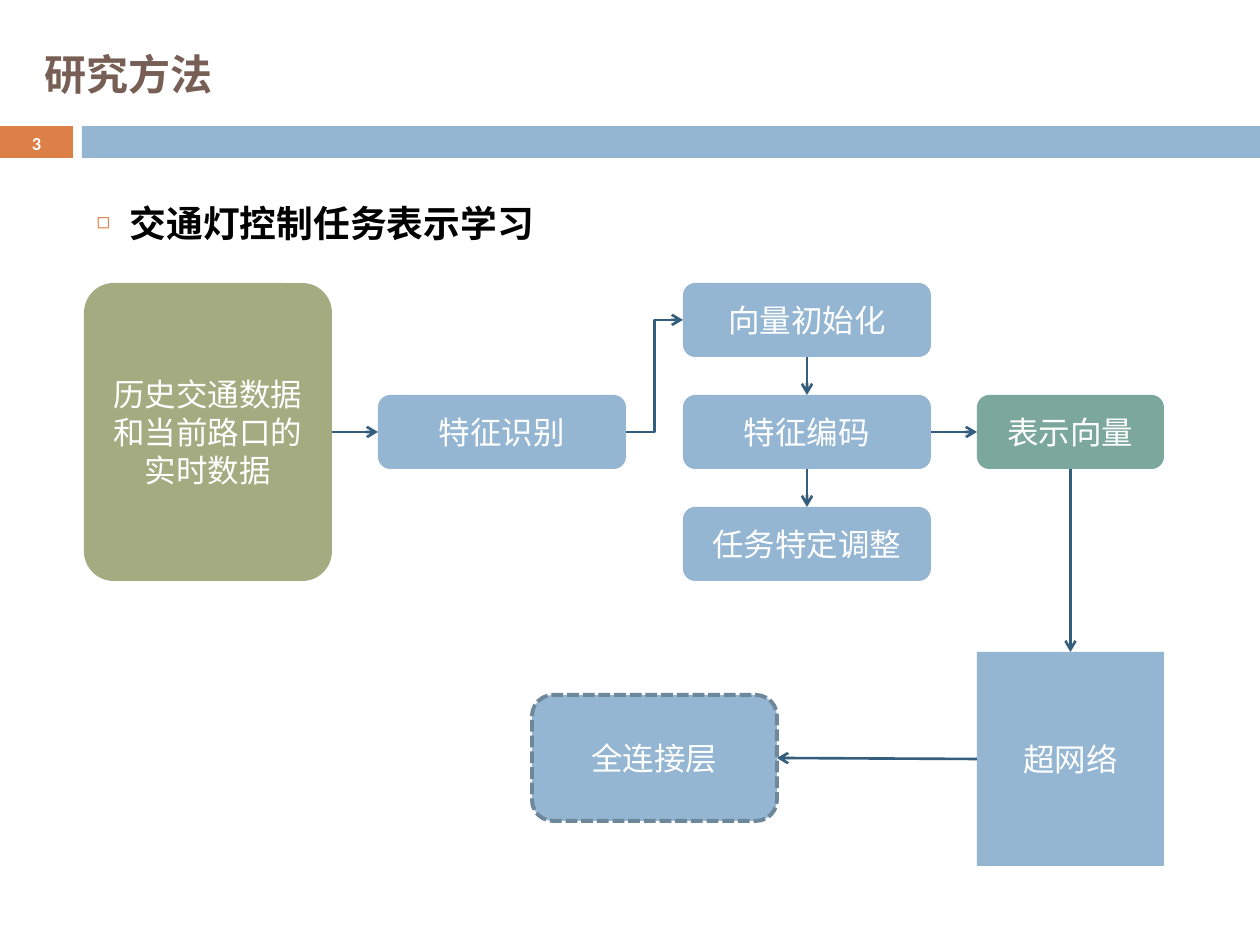
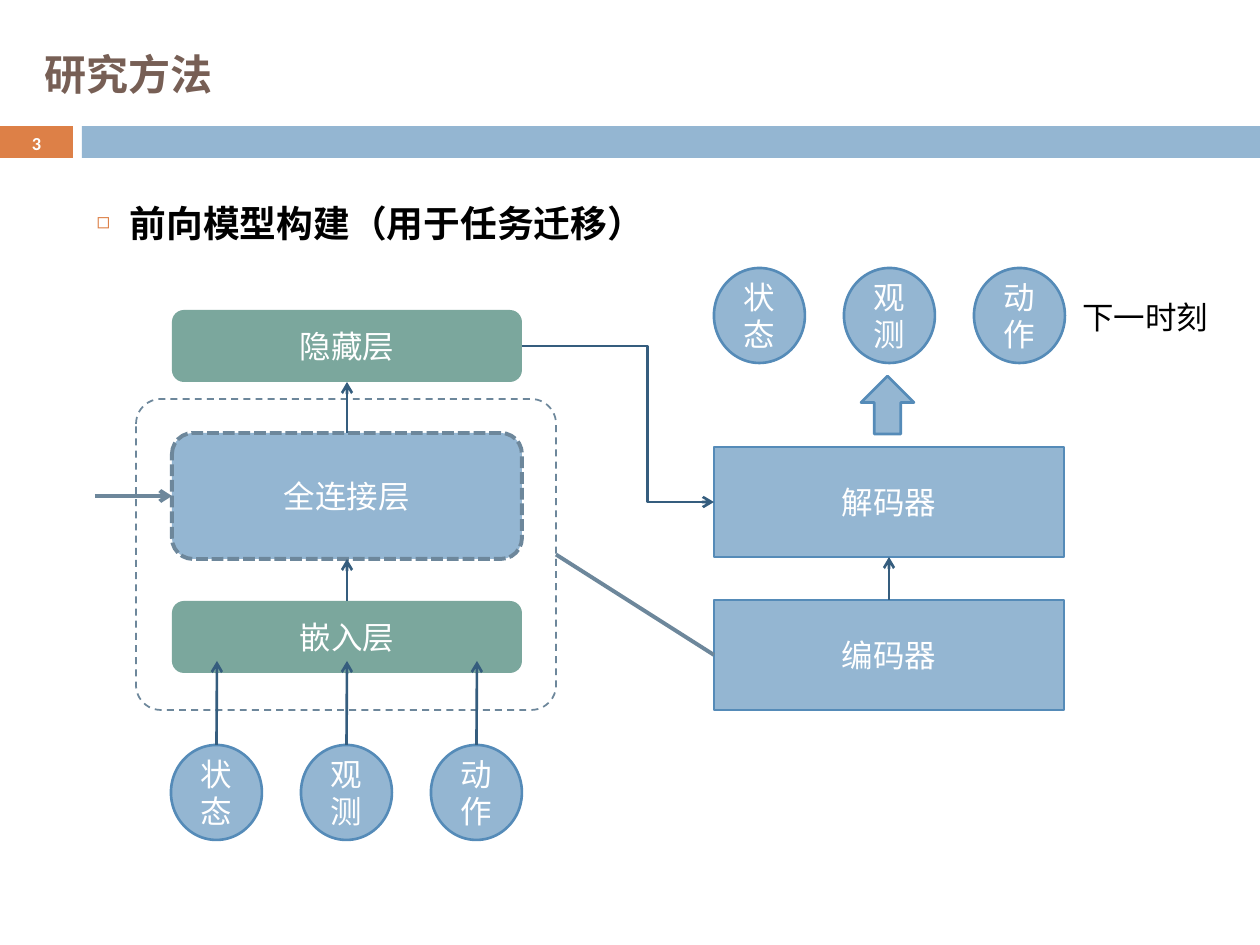
"""Build two slides on the research method: task representation and forward model."""
from lxml import etree
from pptx import Presentation
from pptx.dml.color import RGBColor
from pptx.enum.dml import MSO_LINE
from pptx.enum.shapes import MSO_CONNECTOR, MSO_SHAPE
from pptx.enum.text import MSO_ANCHOR, MSO_AUTO_SIZE, PP_ALIGN
from pptx.oxml.ns import qn
from pptx.util import Pt

RECT, ROUND = MSO_SHAPE.RECTANGLE, MSO_SHAPE.ROUNDED_RECTANGLE
OVAL, UP_ARROW = MSO_SHAPE.OVAL, MSO_SHAPE.UP_ARROW
STRAIGHT, ELBOW = MSO_CONNECTOR.STRAIGHT, MSO_CONNECTOR.ELBOW
DASH, SHORT_DASH = MSO_LINE.DASH, MSO_LINE.SQUARE_DOT
LEFT, CENTER = PP_ALIGN.LEFT, PP_ALIGN.CENTER
TOP_ANCHOR, MIDDLE = MSO_ANCHOR.TOP, MSO_ANCHOR.MIDDLE
NO_AUTOFIT = MSO_AUTO_SIZE.NONE
TOP_SIDE, LEFT_SIDE, BOTTOM_SIDE, RIGHT_SIDE = range(4)

SCALE = 914400 / 126
COLORS = {
    "blue": "94B6D2", "blue_edge": "558BB8", "orange": "DD8047",
    "olive": "A5AB81", "green": "7BA79D", "slate": "6D879B",
    "arrow": "355D7E", "brown": "775F55", "white": "FFFFFF", "black": "000000",
}


def px(length):
    return round(length * SCALE)


def color(name):
    return RGBColor.from_string(COLORS[name])


def add_xml(parent, tag, **attributes):
    return etree.SubElement(parent, qn(tag), attributes)


def write(frame, text, size=18, font="Calibri", ink="white", bold=False,
          align=CENTER, anchor=MIDDLE):
    frame.word_wrap = True
    frame.auto_size = NO_AUTOFIT
    frame.vertical_anchor = anchor
    para = frame.paragraphs[0]
    para.alignment = align
    span = para.add_run()
    span.text = text
    span.font.size, span.font.name, span.font.bold = Pt(size), font, bold
    span.font.color.rgb = color(ink)
    return para


class Page:
    def __init__(self, deck, title, topic, number):
        self.slide = deck.slides.add_slide(deck.slide_layouts[1])
        self.shapes = self.slide.shapes
        self.box((0, 126, 73, 32), fill="orange", shape=RECT)
        self.box((82, 126, 1178, 32), shape=RECT)
        heading, body = self.slide.placeholders
        self.place(heading, (32, 32, 872, 84))
        write(heading.text_frame, title, size=24, font="TeX Gyre Pagella",
              ink="brown", bold=True, align=LEFT)
        self.place(body, (84, 194, 1050, 73))
        self.bullet(write(body.text_frame, topic, size=21, ink="black", bold=True,
                          align=LEFT, anchor=TOP_ANCHOR))
        self.label(number, (0, 126, 73, 34), size=10.5, bold=True)

    def place(self, item, area):
        item.left, item.top, item.width, item.height = map(px, area)

    def bullet(self, para):
        para.space_before = Pt(5.2)
        properties = para._p.get_or_add_pPr()
        properties.set("marL", str(px(33)))
        properties.set("indent", str(px(-33)))
        tint = add_xml(properties, "a:buClr")
        add_xml(tint, "a:srgbClr", val=COLORS["orange"])
        add_xml(properties, "a:buSzPct", val="60000")
        add_xml(properties, "a:buChar", char="◻")

    def label(self, text, area, **style):
        box = self.shapes.add_textbox(*map(px, area))
        write(box.text_frame, text, **style)

    def box(self, area, text="", fill="blue", shape=ROUND, edge=None, width=1.5,
            dash=None, corner=None):
        box = self.shapes.add_shape(shape, *map(px, area))
        box.shadow.inherit = False
        if fill:
            box.fill.solid()
            box.fill.fore_color.rgb = color(fill)
        else:
            box.fill.background()
        if edge:
            box.line.color.rgb = color(edge)
            box.line.width = Pt(width)
            box.line.dash_style = dash
        else:
            box.line.fill.background()
        if corner:
            box.adjustments[0] = corner
        if text:
            write(box.text_frame, text)
        return box

    def connected_layer(self, area):
        return self.box(area, "全连接层", edge="slate", width=2.25, dash=SHORT_DASH)

    def circles(self, left, top):
        return [self.box((left + 130 * column, top, 91, 95), text, shape=OVAL,
                         edge="blue_edge")
                for column, text in enumerate(("状态", "观测", "动作"))]

    def link(self, start, end, kind=STRAIGHT, ink="arrow", width=1.5, head=True,
             bend=None):
        """Join two ends, each a (box, side) pair or an (x, y) point."""
        line = self.shapes.add_connector(kind, 0, 0, 0, 0)
        if isinstance(start[0], int):
            line.begin_x, line.begin_y = map(px, start)
        else:
            line.begin_connect(*start)
        if isinstance(end[0], int):
            line.end_x, line.end_y = map(px, end)
        else:
            line.end_connect(*end)
        line.line.color.rgb = color(ink)
        line.line.width = Pt(width)
        properties = line._element.spPr
        if head:
            add_xml(properties.find(qn("a:ln")), "a:tailEnd", type="arrow")
        if bend:
            guides = properties.find(qn("a:prstGeom")).find(qn("a:avLst"))
            add_xml(guides, "a:gd", name="adj1", fmla=f"val {bend}")
        add_xml(properties, "a:effectLst")


def build_representation(deck):
    page = Page(deck, "研究方法", "交通灯控制任务表示学习", "3")
    features = page.box((378, 395, 248, 74), "特征识别")
    start, encode, adjust = [
        page.box((683, 283 + 112 * row, 248, 74), text)
        for row, text in enumerate(("向量初始化", "特征编码", "任务特定调整"))]
    traffic = page.box((84, 283, 248, 298), "历史交通数据和当前路口的实时数据",
                       fill="olive", corner=0.12)
    vector = page.box((977, 395, 187, 74), "表示向量", fill="green")
    network = page.box((977, 652, 187, 214), "超网络", shape=RECT)
    layer = page.connected_layer((532, 695, 245, 126))
    page.link((traffic, RIGHT_SIDE), (features, LEFT_SIDE))
    page.link((features, RIGHT_SIDE), (start, LEFT_SIDE), kind=ELBOW)
    page.link((start, BOTTOM_SIDE), (encode, TOP_SIDE))
    page.link((encode, BOTTOM_SIDE), (adjust, TOP_SIDE))
    page.link((encode, RIGHT_SIDE), (vector, LEFT_SIDE))
    page.link((vector, BOTTOM_SIDE), (network, TOP_SIDE))
    page.link((network, LEFT_SIDE), (layer, RIGHT_SIDE))


def build_forward_model(deck):
    page = Page(deck, "研究方法", "前向模型构建（用于任务迁移）", "3")
    frame = page.box((136, 399, 420, 311), fill=None, edge="slate", width=1,
                     dash=DASH, corner=0.08)
    layer = page.connected_layer((172, 433, 350, 126))
    inputs = page.circles(171, 745)
    embedding = page.box((172, 601, 350, 72), "嵌入层", fill="green")
    hidden = page.box((172, 310, 350, 72), "隐藏层", fill="green")
    page.circles(714, 268)
    decoder, encoder = [
        page.box((714, top, 350, 110), text, shape=RECT, edge="blue_edge")
        for top, text in ((447, "解码器"), (600, "编码器"))]
    page.box((861, 376, 53, 58), shape=UP_ARROW, edge="blue_edge")
    for column, circle in enumerate(inputs):
        page.link((circle, TOP_SIDE), (217 + 130 * column, 661))
    page.link((embedding, TOP_SIDE), (layer, BOTTOM_SIDE))
    page.link((layer, TOP_SIDE), (hidden, BOTTOM_SIDE))
    page.link((hidden, RIGHT_SIDE), (decoder, LEFT_SIDE), kind=ELBOW, bend=65300)
    page.link((encoder, TOP_SIDE), (decoder, BOTTOM_SIDE))
    page.link((95, 496), (layer, LEFT_SIDE), ink="slate", width=2.25)
    page.link((frame, RIGHT_SIDE), (encoder, LEFT_SIDE), ink="slate", width=2.25,
              head=False)
    page.label("下一时刻", (1070, 292, 154, 50), font="DejaVu Sans", ink="black",
               align=LEFT, anchor=TOP_ANCHOR)


def main():
    deck = Presentation()
    deck.slide_width, deck.slide_height = px(1260), px(945)
    build_representation(deck)
    build_forward_model(deck)
    deck.save("out.pptx")


if __name__ == "__main__":
    main()
